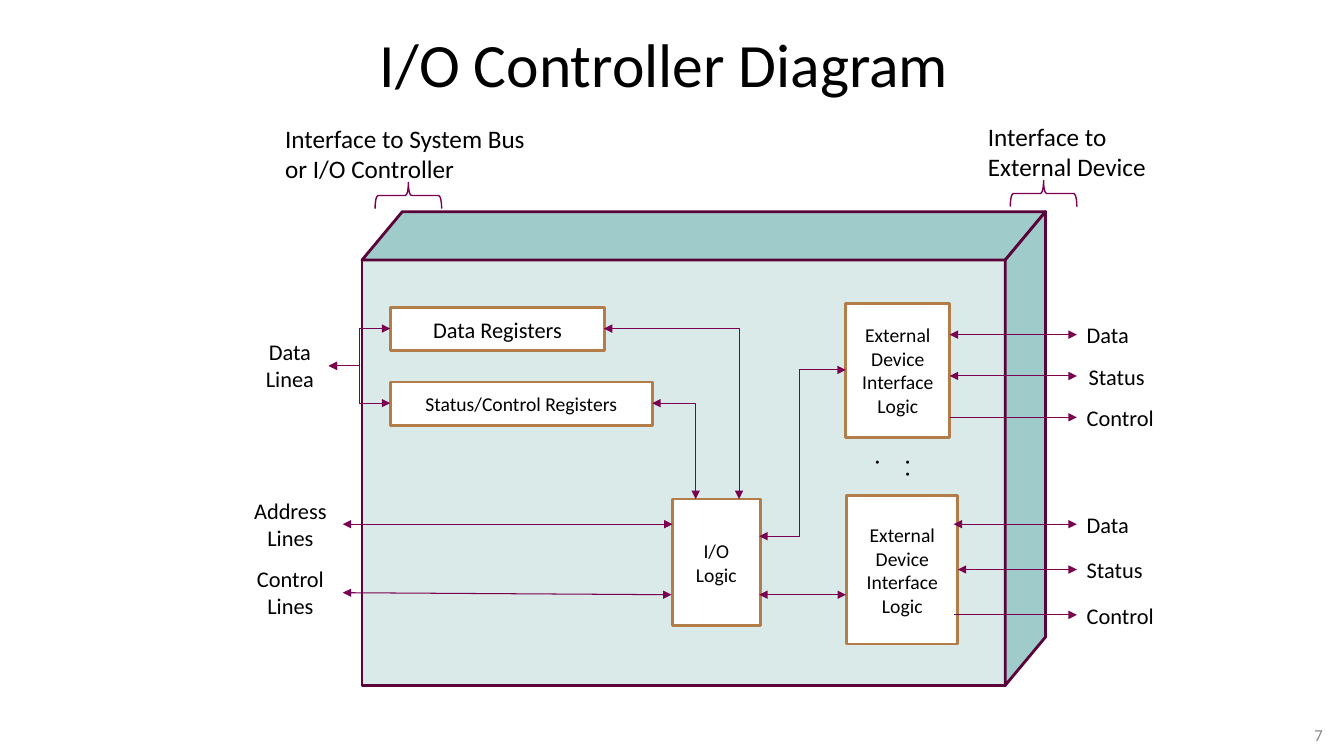
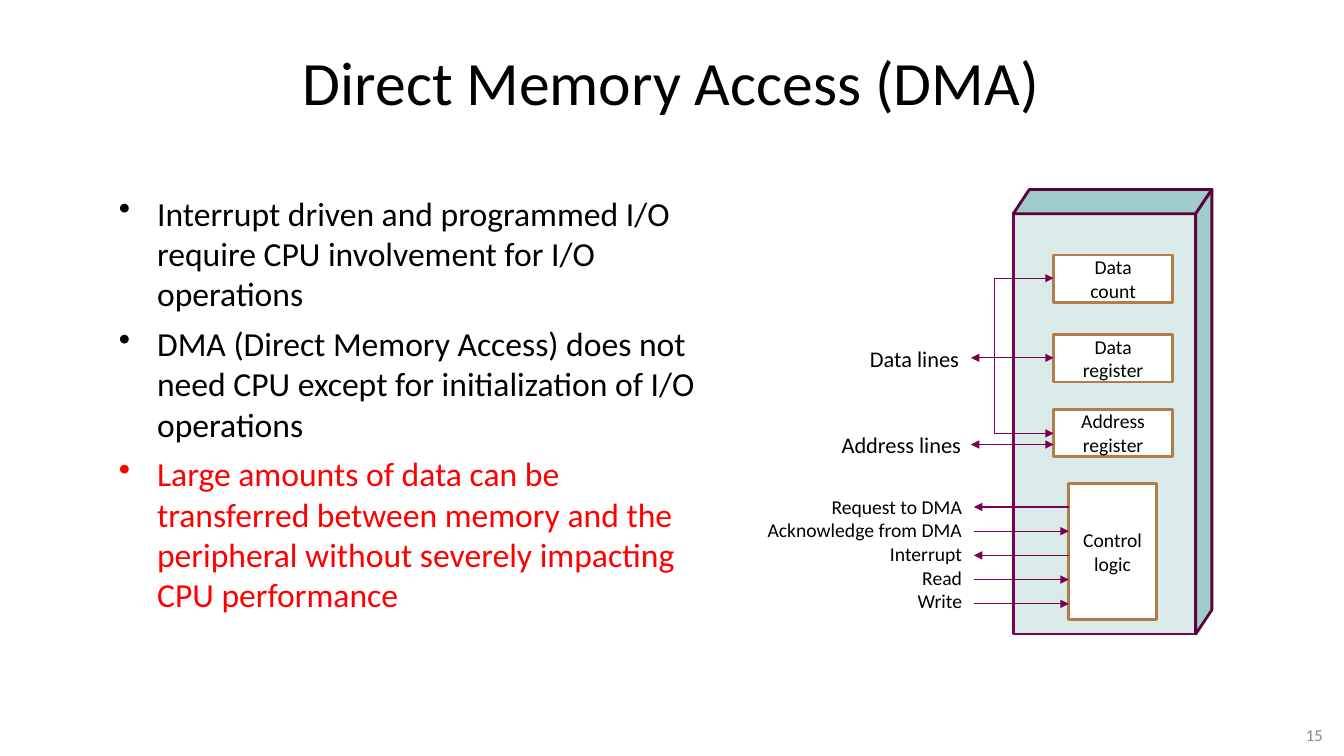
from lxml.etree import SubElement
from pptx import Presentation
from pptx.dml.color import RGBColor
from pptx.enum.shapes import MSO_CONNECTOR as Link, MSO_SHAPE as Preset
from pptx.enum.text import MSO_ANCHOR as Anchor, PP_ALIGN as Align
from pptx.oxml.ns import qn
from pptx.util import Inches, Pt

BLACK = RGBColor(0x00, 0x00, 0x00)
WHITE = RGBColor(0xFF, 0xFF, 0xFF)
RED = RGBColor(0xFF, 0x00, 0x00)
GRAY = RGBColor(0x89, 0x89, 0x89)
MINT = RGBColor(0xDA, 0xEA, 0xE9)
TEAL = RGBColor(0xA0, 0xCB, 0xCB)
PLUM = RGBColor(0x5A, 0x03, 0x3B)
BRIGHT_PLUM = RGBColor(0x7A, 0x04, 0x50)
MAGENTA = RGBColor(0x7A, 0x01, 0x4F)
BROWN = RGBColor(0xB2, 0x7D, 0x49)
FONT = "Calibri"
BOTH, START, END = ("headEnd", "tailEnd"), ("headEnd",), ("tailEnd",)
DEVICE_LOGIC = "External\nDevice\nInterface\nLogic"
DEVICE_LABEL_X, SIGNAL_X = 10.68, 9.66

CONTROLLER = {
    "title": ("I/O Controller Diagram ", 0.12),
    "number": "7",
    "block": (3.59, 2.58, 6.38, 4.22, 0.4, 0.48, PLUM),
    "boxes": [
        ("Data Registers", 3.87, 3.05, 2.13, 0.43, 16),
        ("Status/Control Registers", 3.87, 3.79, 2.6, 0.43, 14),
        ("I/O\nLogic", 6.67, 4.95, 0.87, 1.26, 14),
        (DEVICE_LOGIC, 8.39, 3.01, 1.03, 1.33, 14),
        (DEVICE_LOGIC, 8.4, 4.92, 1.1, 1.47, 14),
    ],
    "labels": [
        ("Data\nLinea", 2.48, 3.31, 0.79, 0.64, 16, Align.CENTER),
        ("Address\nLines", 2.37, 4.88, 1.02, 0.64, 16, Align.CENTER),
        ("Control\nLines", 2.37, 5.56, 1.02, 0.64, 16, Align.CENTER),
        ("Interface to System Bus\nor I/O Controller", 2.73, 1.17, 2.63, 0.71, 18, Align.LEFT),
        ("Interface to\nExternal Device", 9.7, 1.15, 1.97, 0.71, 18, Align.LEFT),
    ],
    "lines": [
        (3.4, 5.2, 6.67, 5.2, BOTH),
        (3.4, 5.88, 6.66, 5.9, BOTH),
        (7.93, 5.32, 7.53, 5.32, END),
        (8.39, 5.9, 7.53, 5.9, BOTH),
    ],
    "elbows": [
        (3.26, 3.63, 3.87, 3.26, BOTH, 3),
        (3.26, 3.63, 3.87, 4, BOTH, 3),
        (6.47, 4, 6.9, 4.95, BOTH, 2),
        (5.99, 3.26, 7.33, 4.95, BOTH, 2),
        (8.39, 3.67, 7.93, 5.32, START, 2),
    ],
}
DEVICE_SIGNALS = [
    ("Data", 3.32, 9.42, BOTH, Align.LEFT),
    ("Status", 3.73, 9.42, BOTH, Align.CENTER),
    ("Control", 4.14, 9.42, END, Align.LEFT),
    ("Data", 5.2, 9.46, BOTH, Align.LEFT),
    ("Status", 5.65, 9.5, BOTH, Align.LEFT),
    ("Control", 6.1, 9.46, END, Align.LEFT),
]
BRACES = [(3.92, 1.61), (10.22, 1.59)]

DMA = {
    "title": ("Direct Memory Access (DMA)", 0.3),
    "number": "15",
    "block": (10.05, 2.12, 1.81, 4.17, 0.16, 0.24, BRIGHT_PLUM),
    "boxes": [
        ("Data\ncount", 10.45, 2.53, 1.18, 0.47, 14),
        ("Data\nregister", 10.45, 3.32, 1.18, 0.47, 14),
        ("Address\nregister", 10.45, 4.06, 1.18, 0.47, 14),
        ("Control\nlogic", 10.6, 4.8, 0.87, 1.35, 14),
    ],
    "labels": [
        ("Data lines", 8.53, 3.37, 1.11, 0.37, 16, Align.LEFT),
        ("Address lines", 7.78, 4.23, 1.85, 0.37, 16, Align.RIGHT),
    ],
    "lines": [
        (9.63, 3.55, 10.45, 3.55, BOTH),
        (9.63, 4.41, 10.45, 4.41, BOTH),
    ],
    "elbows": [
        (10.45, 2.76, 9.86, 3.55, START, 2),
        (10.45, 4.3, 9.86, 3.55, START, 2),
    ],
}
DMA_SIGNALS = [
    ("Request to DMA", START),
    ("Acknowledge from DMA", END),
    ("Interrupt", START),
    ("Read", END),
    ("Write", END),
]
DMA_POINTS = [
    ("Interrupt driven and programmed I/O require CPU involvement for I/O operations", BLACK),
    ("DMA (Direct Memory Access) does not need CPU except for initialization of I/O operations", BLACK),
    ("Large amounts of data can be transferred between memory and the peripheral "
     "without severely impacting CPU performance", RED),
]


def write(shape, text, size, align, color=BLACK, anchor=Anchor.TOP):
    """Fill a shape with paragraphs in one style."""
    frame = shape.text_frame
    frame.word_wrap = True
    frame.vertical_anchor = anchor
    frame.text = text
    for para in frame.paragraphs:
        para.alignment = align
        para.font.name = FONT
        para.font.size = Pt(size)
        para.font.color.rgb = color


def add_label(page, text, x, y, w, h, size, align, color=BLACK, anchor=Anchor.TOP):
    """Add a text box."""
    label = page.shapes.add_textbox(Inches(x), Inches(y), Inches(w), Inches(h))
    write(label, text, size, align, color, anchor)
    return label


def add_preset(page, preset, x, y, w, h, line, fill=None, width=2):
    """Add an outlined preset shape, filled if a fill is given."""
    shape = page.shapes.add_shape(preset, Inches(x), Inches(y), Inches(w), Inches(h))
    shape.shadow.inherit = False
    shape.line.color.rgb = line
    shape.line.width = Pt(width)
    if fill is None:
        shape.fill.background()
    else:
        shape.fill.solid()
        shape.fill.fore_color.rgb = fill
    return shape


def add_arrow(page, x1, y1, x2, y2, ends, bend=0):
    """Add a straight arrow, or an elbow drawn as bent connector number bend."""
    kind = Link.ELBOW if bend else Link.STRAIGHT
    arrow = page.shapes.add_connector(kind, Inches(x1), Inches(y1), Inches(x2), Inches(y2))
    arrow.line.color.rgb = MAGENTA
    arrow.line.width = Pt(0.75)
    props = arrow.element.spPr
    if bend:
        props.find(qn("a:prstGeom")).set("prst", f"bentConnector{bend}")
    for end in ends:
        SubElement(props.find(qn("a:ln")), qn(f"a:{end}"), type="triangle")
    SubElement(props, qn("a:effectLst"))


def add_block(page, x, y, w, h, dx, dy, front_line):
    """Add a solid block from a front face, a top and a right side."""
    add_preset(page, Preset.RECTANGLE, x, y, w, h, front_line, MINT)
    top = add_preset(page, Preset.PARALLELOGRAM, x, y - dy, w + dx, dy, PLUM, TEAL)
    top.adjustments[0] = dx / dy
    length = h + dy
    side_x = x + w + dx / 2 - length / 2
    side_y = y + (h - dy) / 2 - dx / 2
    side = add_preset(page, Preset.PARALLELOGRAM, side_x, side_y, length, dx, PLUM, TEAL)
    side.adjustments[0] = dy / dx
    side.rotation = 270
    side.element.spPr.find(qn("a:xfrm")).set("flipH", "1")


def add_page(deck, content):
    """Add a slide with its title, number and block diagram."""
    page = deck.slides.add_slide(deck.slide_layouts[6])
    title, title_y = content["title"]
    add_label(page, title, 0.66, title_y, 12, 1.01, 44, Align.CENTER, anchor=Anchor.MIDDLE)
    add_label(page, content["number"], 11.79, 7.14, 1.43, 0.29, 12, Align.RIGHT, GRAY, Anchor.MIDDLE)
    add_block(page, *content["block"])
    for text, x, y, w, h, size in content["boxes"]:
        box = add_preset(page, Preset.RECTANGLE, x, y, w, h, BROWN, WHITE)
        write(box, text, size, Align.CENTER, anchor=Anchor.MIDDLE)
    for label in content["labels"]:
        add_label(page, *label)
    for arrow in content["lines"] + content["elbows"]:
        add_arrow(page, *arrow)
    return page


def add_controller_details(page):
    """Add the device signals, the braces and the vertical dots."""
    for text, y, start, ends, align in DEVICE_SIGNALS:
        width = 1.11 if text == "Control" else 0.79
        add_label(page, text, DEVICE_LABEL_X, y - 0.18, width, 0.37, 16, align)
        add_arrow(page, start, y, DEVICE_LABEL_X, y, ends)
    for x, y in BRACES:
        brace = add_preset(page, Preset.LEFT_BRACE, x, y, 0.26, 0.66, MAGENTA, width=1)
        brace.adjustments[0] = 0.11
        brace.rotation = 90
    dots = add_label(page, ". . .", 8.79, 4.46, 0.5, 0.39, 18, Align.LEFT)
    dots.text_frame._txBody.bodyPr.set("vert", "eaVert")


def add_dma_details(page):
    """Add the control signals and the bulleted points."""
    names = "\n".join(name for name, ends in DMA_SIGNALS)
    add_label(page, names, 7.45, 4.86, 2.19, 1.28, 14, Align.RIGHT)
    for row, (name, ends) in enumerate(DMA_SIGNALS):
        y = 5.03 + 0.24 * row
        add_arrow(page, SIGNAL_X, y, 10.6, y, ends)
    points = "\n".join(text for text, color in DMA_POINTS)
    body = add_label(page, points, 1.08, 1.86, 5.98, 4.57, 24, Align.LEFT)
    for para, (text, color) in zip(body.text_frame.paragraphs, DMA_POINTS):
        para.font.color.rgb = color
        para.space_before = Pt(4.8)
        para.space_after = Pt(2)
        props = para._p.get_or_add_pPr()
        props.set("marL", str(Inches(0.38)))
        props.set("indent", str(-Inches(0.38)))
        bullet = props.makeelement(qn("a:buChar"), {"char": "•"})
        props.find(qn("a:defRPr")).addprevious(bullet)


def main():
    """Build and save the deck."""
    deck = Presentation()
    deck.slide_width = Inches(13.33)
    deck.slide_height = Inches(7.5)
    add_controller_details(add_page(deck, CONTROLLER))
    add_dma_details(add_page(deck, DMA))
    deck.save("out.pptx")


if __name__ == "__main__":
    main()
